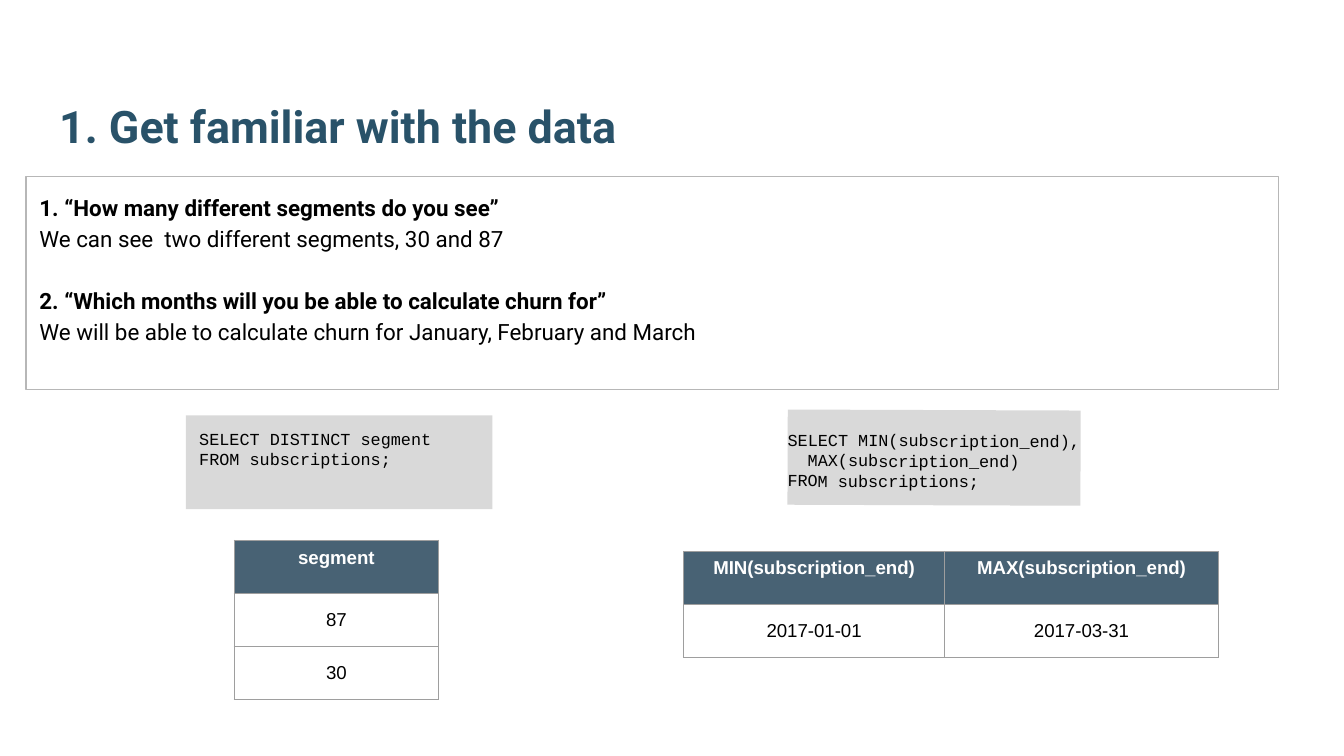
"""Build the "Get familiar with the data" slide with its queries and result tables."""
from lxml.etree import SubElement
from pptx import Presentation
from pptx.dml.color import RGBColor as Color
from pptx.enum.shapes import MSO_SHAPE as Preset
from pptx.enum.text import MSO_ANCHOR as Anchor, MSO_AUTO_SIZE as AutoSize, PP_ALIGN as Align
from pptx.oxml.ns import qn
from pptx.util import Inches, Pt

COLORS = {"title": "295269", "text": "000000", "border": "B7B7B7", "code": "D9D9D9",
          "header": "204056", "header text": "FFFFFF", "grid": "9E9E9E"}

presentation = Presentation()
presentation.slide_width = Inches(10)
presentation.slide_height = presentation.slide_width * 9 // 16
COLUMN, ROW = presentation.slide_width / 100, presentation.slide_height / 100
slide = presentation.slides.add_slide(presentation.slide_layouts[1])


def box(left, top, width, height):
    return {"left": int(left * COLUMN), "top": int(top * ROW),
            "width": int(width * COLUMN), "height": int(height * ROW)}


def write(paragraph, text, font, size, color, bold=False, **formats):
    run = paragraph.add_run()
    run.text = text
    for name, value in {"name": font, "size": Pt(size), "bold": bold}.items():
        setattr(run.font, name, value)
    run.font.color.rgb = Color.from_string(COLORS[color])
    for name, value in formats.items():
        setattr(paragraph, name, value)


title, body = slide.shapes.title, slide.placeholders[1]
areas = [(title, box(3.4, 5.6, 93.2, 16.3), Anchor.BOTTOM),
         (body, box(1.93, 23.35, 93.2, 28.2), Anchor.TOP)]
for shape, area, anchor in areas:
    for name, value in area.items():
        setattr(shape, name, value)
    frame_formats = {"vertical_anchor": anchor, "auto_size": AutoSize.NONE, "word_wrap": True}
    for side in ("left", "top", "right", "bottom"):
        frame_formats[f"margin_{side}"] = Inches(0.1)
    for name, value in frame_formats.items():
        setattr(shape.text_frame, name, value)

write(title.text_frame.paragraphs[0], "1. Get familiar with the data", "Roboto", 24, "title",
      bold=True, alignment=Align.LEFT)

body.line.color.rgb = Color.from_string(COLORS["border"])
body.line.width = Pt(0.75)
answers = [
    ("1. “How many different segments do you see”", True, 0),
    ("We can see  two different segments, 30 and 87", False, 0),
    ("2. “Which months will you be able to calculate churn for”", True, 16.6),
    ("We will be able to calculate churn for January, February and March", False, 0),
]
for index, (text, bold, gap) in enumerate(answers):
    frame = body.text_frame
    paragraph = frame.add_paragraph() if index else frame.paragraphs[0]
    write(paragraph, text, "Roboto", 12, "text", bold, line_spacing=1.15,
          space_before=Pt(gap), space_after=Pt(0), alignment=Align.LEFT)
    properties = paragraph._p.get_or_add_pPr()
    properties.set("marL", "0")
    properties.set("indent", "0")
    SubElement(properties, qn("a:buNone"))

queries = [
    (box(13.84, 54.95, 22.8, 12.4), 0, True, (0.1, 0.1),
     ["SELECT DISTINCT segment", "FROM subscriptions;"]),
    (box(58.6, 54.25, 21.8, 12.6), 0.2, False, (0, 0.15),
     ["SELECT MIN(subscription_end),", "  MAX(subscription_end)", "FROM subscriptions;"]),
]
for area, rotation, wrap, (side_margin, top_margin), lines in queries:
    shape = slide.shapes.add_shape(Preset.RECTANGLE, **area)
    shape.rotation = rotation
    shape.shadow.inherit = False
    shape.fill.solid()
    shape.fill.fore_color.rgb = Color.from_string(COLORS["code"])
    shape.line.fill.background()
    frame = shape.text_frame
    frame_formats = {"word_wrap": wrap, "vertical_anchor": Anchor.TOP,
                     "margin_left": Inches(side_margin), "margin_right": Inches(side_margin),
                     "margin_top": Inches(top_margin), "margin_bottom": 0}
    for name, value in frame_formats.items():
        setattr(frame, name, value)
    for index, line in enumerate(lines):
        paragraph = frame.add_paragraph() if index else frame.paragraphs[0]
        write(paragraph, line, "Courier New", 9, "text", alignment=Align.LEFT)

results = [
    (17.43, 71.5, [15.2], [["segment"], ["87"], ["30"]]),
    (50.87, 72.93, [19.4, 20.4], [["MIN(subscription_end)", "MAX(subscription_end)"],
                                  ["2017-01-01", "2017-03-31"]]),
]
for left, top, widths, rows in results:
    area = box(left, top, sum(widths), 7 * len(rows))
    table = slide.shapes.add_table(len(rows), len(widths), **area).table
    table.first_row = table.horz_banding = False
    for column, width in zip(table.columns, widths):
        column.width = int(width * COLUMN)
    for row_index, values in enumerate(rows):
        header = row_index == 0
        for column_index, value in enumerate(values):
            cell = table.cell(row_index, column_index)
            cell.vertical_anchor = Anchor.TOP if header else Anchor.MIDDLE
            write(cell.text_frame.paragraphs[0], value, "Arial", 10,
                  "header text" if header else "text", header, alignment=Align.CENTER)
            properties = cell._tc.get_or_add_tcPr()
            for edge in ("lnL", "lnR", "lnT", "lnB"):
                border = SubElement(properties, qn(f"a:{edge}"), w=str(Pt(0.75)))
                fill = SubElement(border, qn("a:solidFill"))
                SubElement(fill, qn("a:srgbClr"), val=COLORS["grid"])
            if header:
                cell.fill.solid()
                cell.fill.fore_color.rgb = Color.from_string(COLORS["header"])
                tint = properties.find(qn("a:solidFill")).find(qn("a:srgbClr"))
                SubElement(tint, qn("a:alpha"), val="82000")
            else:
                cell.fill.background()

presentation.save("out.pptx")
